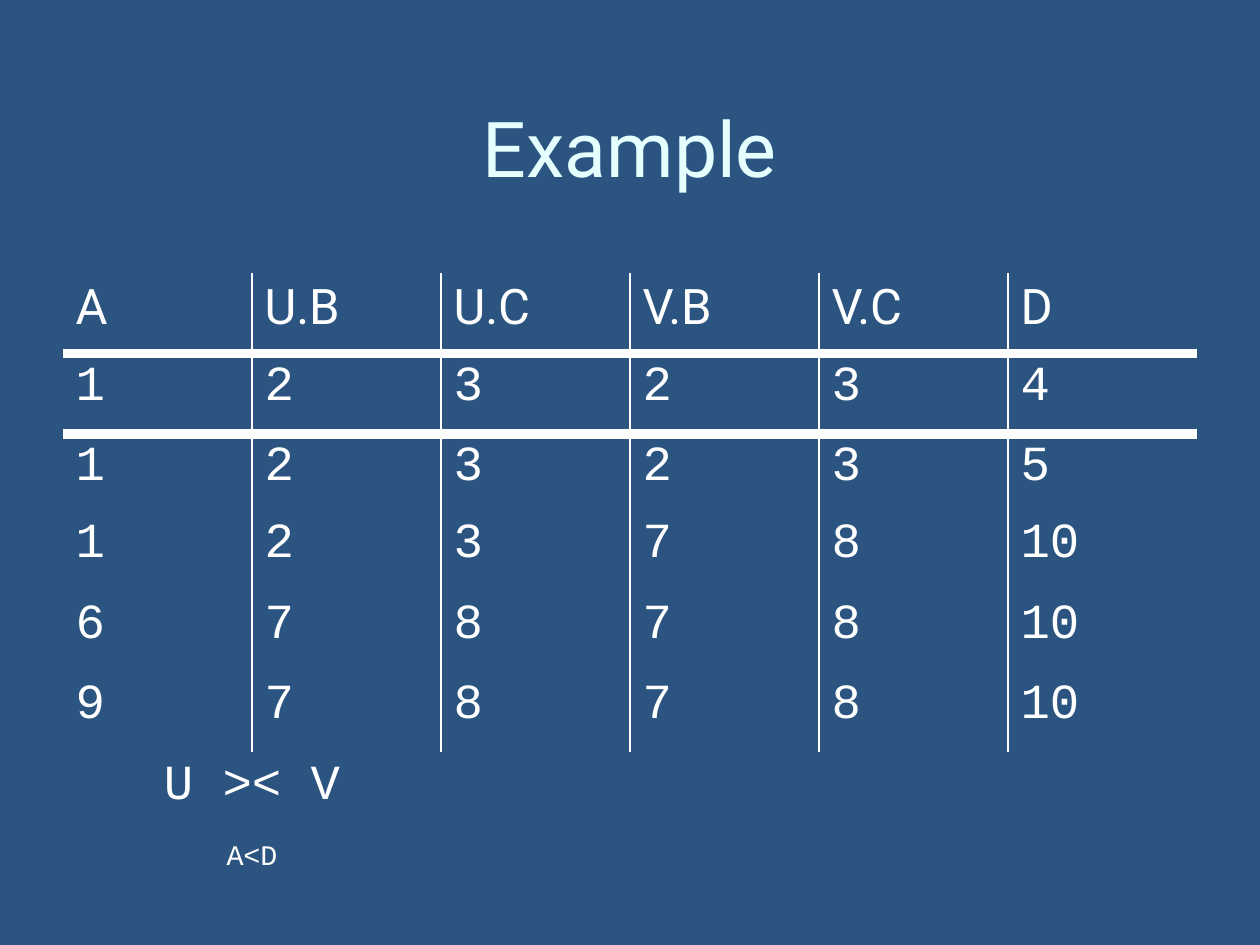
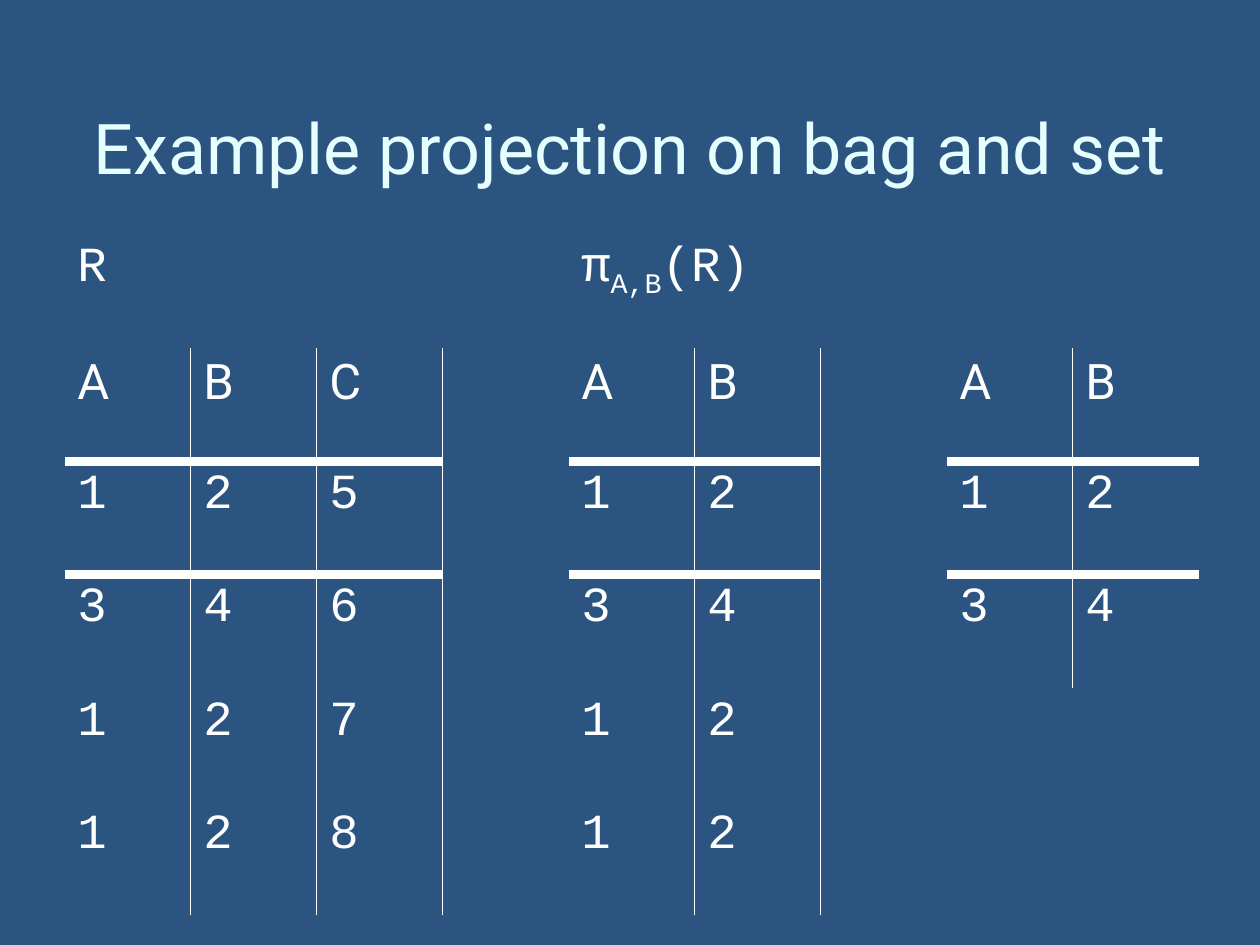
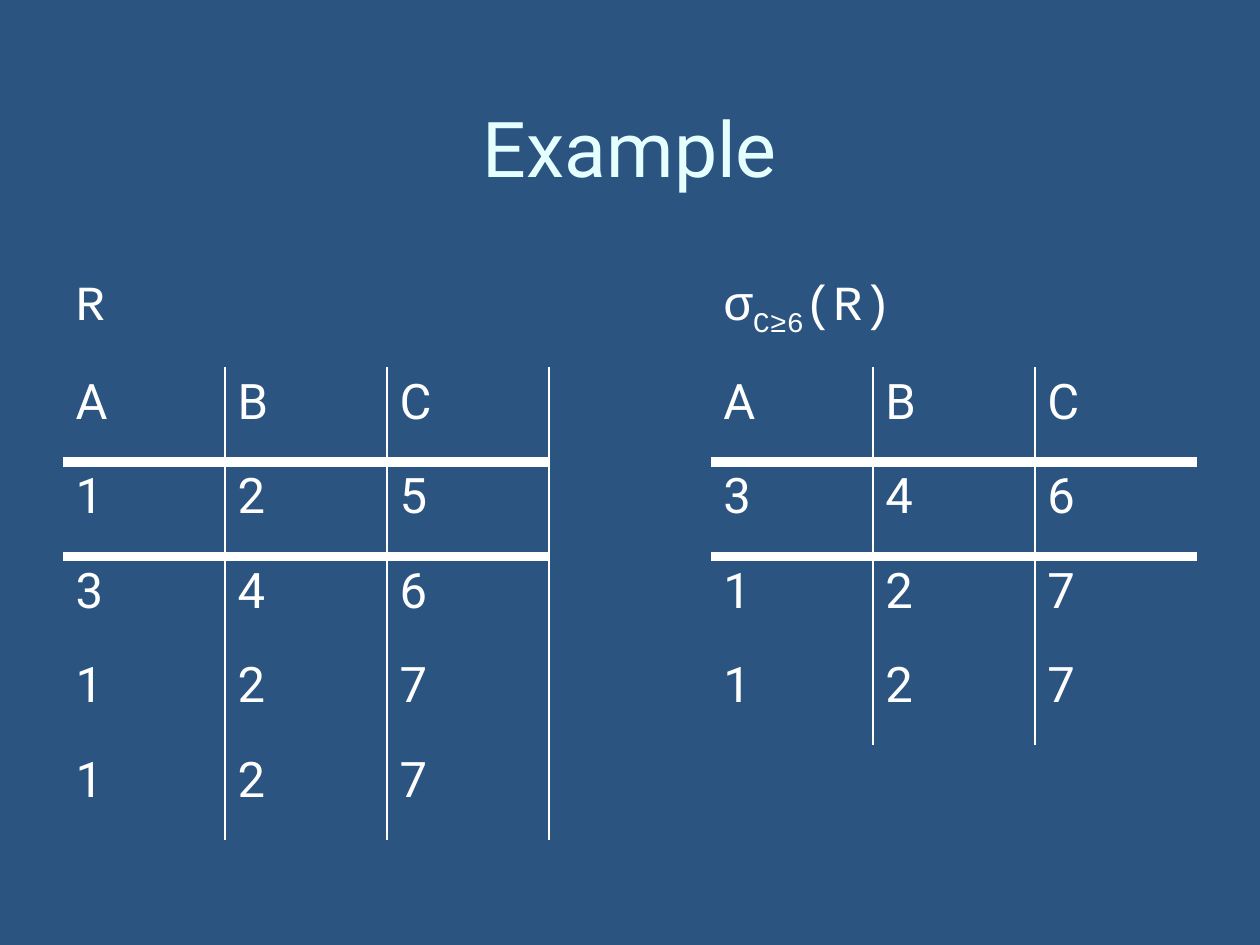
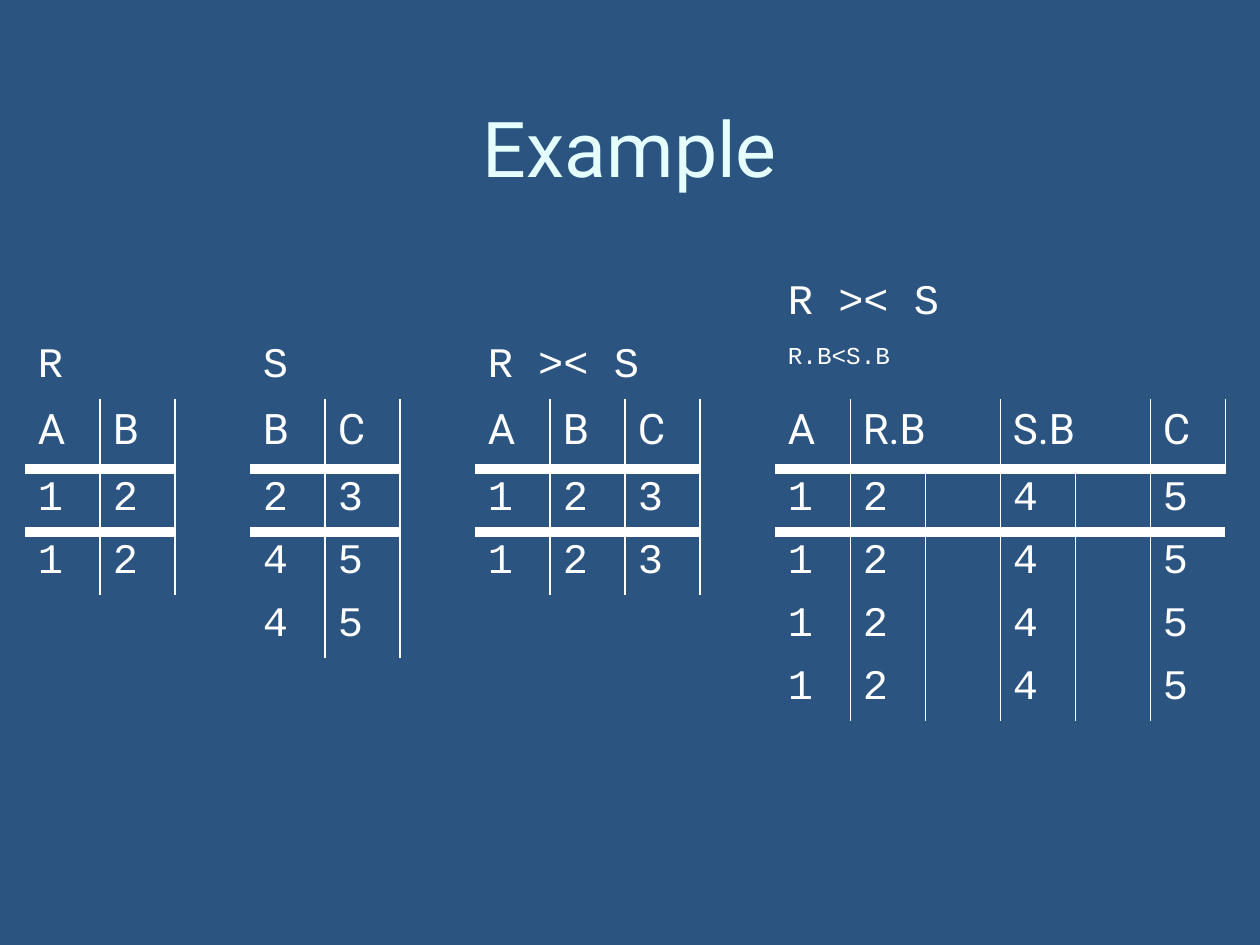
from dataclasses import dataclass

from lxml.etree import SubElement
from pptx import Presentation
from pptx.dml.color import RGBColor
from pptx.enum.text import MSO_ANCHOR as Anchor, PP_ALIGN as Align
from pptx.oxml.ns import qn
from pptx.util import Pt

PLAIN_TABLE_STYLE = "{2D5ABB26-0587-4C30-8999-92F81FD0307C}"


@dataclass(frozen=True)
class Theme:
    background: str = "2B5481"
    title_color: str = "E5FFFF"
    ink: str = "FFFFFF"
    sans: str = "Roboto"
    mono: str = "Courier New"
    title_size: float = 44
    long_title_size: float = 40
    body_size: float = 28
    small_size: float = 24
    thin_line: float = 1
    hairline: float = 0.25
    header_line: float = 6


def write_text(paragraph, text, *, font, size, color, align=None, baseline=0):
    """Append one formatted run; baseline is a percentage of the type size."""
    paragraph.alignment = align
    run = paragraph.add_run()
    run.text = text
    run.font.name = font
    run.font.size = Pt(size)
    run.font.color.rgb = RGBColor.from_string(color)
    if baseline:
        run.font._element.set("baseline", str(baseline * 1000))


def set_borders(cell, color, **widths):
    """Draw the given sides (L, R, T, B) of a cell, widths in points."""
    properties = cell._tc.get_or_add_tcPr()
    sides = [side for side in "LRTB" if widths.get(side)]
    for index, side in enumerate(sides):
        line = SubElement(properties, qn(f"a:ln{side}"), w=str(Pt(widths[side])))
        fill = SubElement(line, qn("a:solidFill"))
        SubElement(fill, qn("a:srgbClr"), val=color)
        properties.insert(index, line)


class Deck:
    def __init__(self, theme):
        self.theme = theme
        self.presentation = Presentation()
        self.presentation.slide_width = Pt(720)
        self.presentation.slide_height = Pt(540)
        fill = self.presentation.slide_master.background.fill
        fill.solid()
        fill.fore_color.rgb = RGBColor.from_string(theme.background)

    def new_slide(self, title, title_size=None):
        blank_layout = self.presentation.slide_layouts[6]
        self.slide = self.presentation.slides.add_slide(blank_layout)
        box = self.slide.shapes.add_textbox(Pt(36), Pt(30), Pt(648), Pt(108))
        frame = box.text_frame
        frame.word_wrap = True
        frame.vertical_anchor = Anchor.MIDDLE
        write_text(frame.paragraphs[0], title, font=self.theme.sans,
                   size=title_size or self.theme.title_size,
                   color=self.theme.title_color, align=Align.CENTER)

    def grid(self, left, top, width, columns, heights, size=None):
        """Add a plain table that labels and relations are written into."""
        self.size = size or self.theme.body_size
        frame = self.slide.shapes.add_table(
            len(heights), columns, Pt(left), Pt(top), Pt(width), Pt(sum(heights)))
        self.table = frame.table
        self.table.first_row = self.table.horz_banding = False
        self.table._tbl.tblPr.find(qn("a:tableStyleId")).text = PLAIN_TABLE_STYLE
        for column in self.table.columns:
            column.width = Pt(width / columns)
        for row, height in zip(self.table.rows, heights):
            row.height = Pt(height)
        for cell in self.table.iter_cells():
            cell.fill.background()

    def label(self, row, column, *pieces, span=1, align=None):
        """Write (text, baseline) pieces into a cell, merged over span columns."""
        cell = self.table.cell(row, column)
        if span > 1:
            cell.merge(self.table.cell(row, column + span - 1))
        for text, baseline in pieces:
            write_text(cell.text_frame.paragraphs[0], text, font=self.theme.mono,
                       size=self.size, color=self.theme.ink, align=align,
                       baseline=baseline)

    def relation(self, row, column, header, tuples, spans=None, font=None,
                 header_rule=None):
        """Write a relation: header over a thick rule, thin rules between attributes."""
        theme = self.theme
        spans = spans or [1] * len(header)
        for offset, values in enumerate([header, *tuples]):
            is_header = offset == 0
            rule = header_rule if is_header and header_rule else theme.thin_line
            start = column
            for index, (value, span) in enumerate(zip(values, spans)):
                cells = [self.table.cell(row + offset, start + step)
                         for step in range(span)]
                for step, cell in enumerate(cells):
                    set_borders(
                        cell, theme.ink,
                        L=rule if index > 0 and step == 0 else 0,
                        R=rule if index < len(spans) - 1 and step == span - 1 else 0,
                        T=theme.header_line if offset == 1 else 0,
                        B=theme.header_line if is_header else 0)
                if is_header and span > 1:
                    cells[0].merge(cells[-1])
                write_text(cells[0].text_frame.paragraphs[0], value,
                           font=theme.sans if is_header else font or theme.mono,
                           size=self.size, color=theme.ink)
                start += span


def theta_join_slide(deck):
    deck.new_slide("Example")
    deck.grid(36, 156, 648, 6, [46, 46, 44] + [46] * 5)
    deck.relation(0, 0, ["A", "U.B", "U.C", "V.B", "V.C", "D"], [
        ["1", "2", "3", "2", "3", "4"],
        ["1", "2", "3", "2", "3", "5"],
        ["1", "2", "3", "7", "8", "10"],
        ["6", "7", "8", "7", "8", "10"],
        ["9", "7", "8", "7", "8", "10"],
    ])
    deck.label(6, 0, ("U >< V", 0), span=2, align=Align.CENTER)
    deck.label(7, 0, ("A<D", 30), span=2, align=Align.CENTER)


def projection_slide(deck):
    deck.new_slide("Example projection on bag and set", deck.theme.long_title_size)
    deck.grid(37, 134, 648, 9, [64.8] * 6)
    deck.label(0, 0, ("R", 0))
    deck.label(0, 4, ("π", 0), ("A,B", -25), ("(R)", 0), span=2)
    source = ["125", "346", "127", "128"]
    bag = [values[:2] for values in source]
    deck.relation(1, 0, "ABC", source)
    deck.relation(1, 4, "AB", bag)
    deck.relation(1, 7, "AB", bag[:2])


def selection_slide(deck):
    deck.new_slide("Example")
    deck.grid(36, 156, 648, 7, [54] * 6)
    deck.label(0, 0, ("R", 0))
    deck.label(0, 4, ("σ", 0), ("C≥6", -25), ("(R)", 0), span=3)
    source = ["125", "346", "127", "127"]
    deck.relation(1, 0, "ABC", source, font=deck.theme.sans)
    deck.relation(1, 4, "ABC", source[1:], font=deck.theme.sans)


def bag_join_slide(deck):
    deck.new_slide("Example")
    deck.grid(14.4, 156, 686, 16, [35.4] * 2 + [40] + [34.4] * 4,
              deck.theme.small_size)
    # Labels
    deck.label(0, 10, ("R >< S", 0), span=4)
    deck.label(1, 0, ("R", 0))
    deck.label(1, 3, ("S", 0))
    deck.label(1, 6, ("R >< S", 0), span=3)
    deck.label(1, 10, ("R.B<S.B", 30), span=4)
    # Relations
    deck.relation(2, 0, "AB", ["12"] * 2)
    deck.relation(2, 3, "BC", ["23", "45", "45"])
    deck.relation(2, 6, "ABC", ["123"] * 2)
    deck.relation(2, 10, ["A", "R.B", "S.B", "C"], ["1245"] * 4,
                  spans=[1, 2, 2, 1], header_rule=deck.theme.hairline)


def main():
    deck = Deck(Theme())
    theta_join_slide(deck)
    projection_slide(deck)
    selection_slide(deck)
    bag_join_slide(deck)
    deck.presentation.save("out.pptx")


if __name__ == "__main__":
    main()
